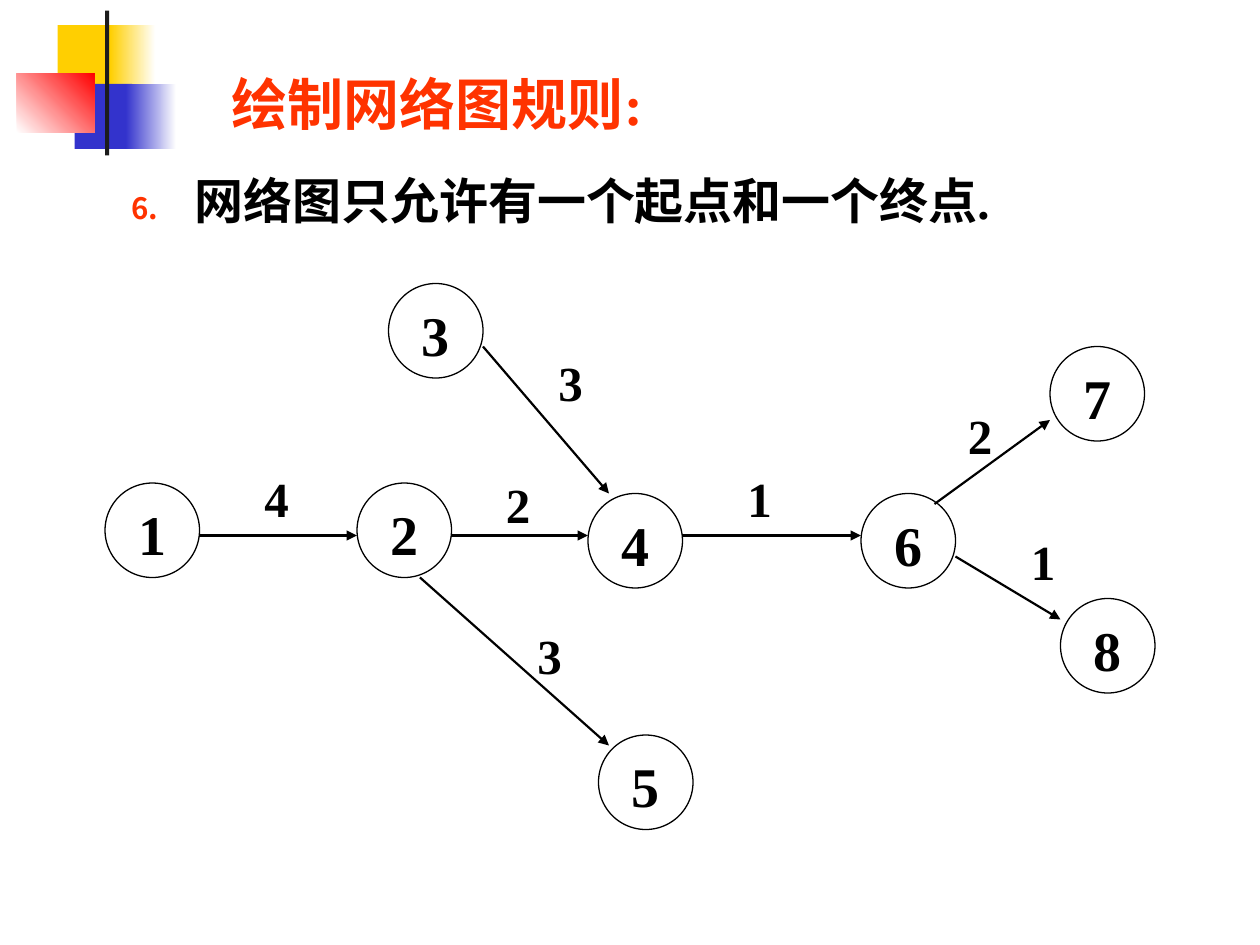
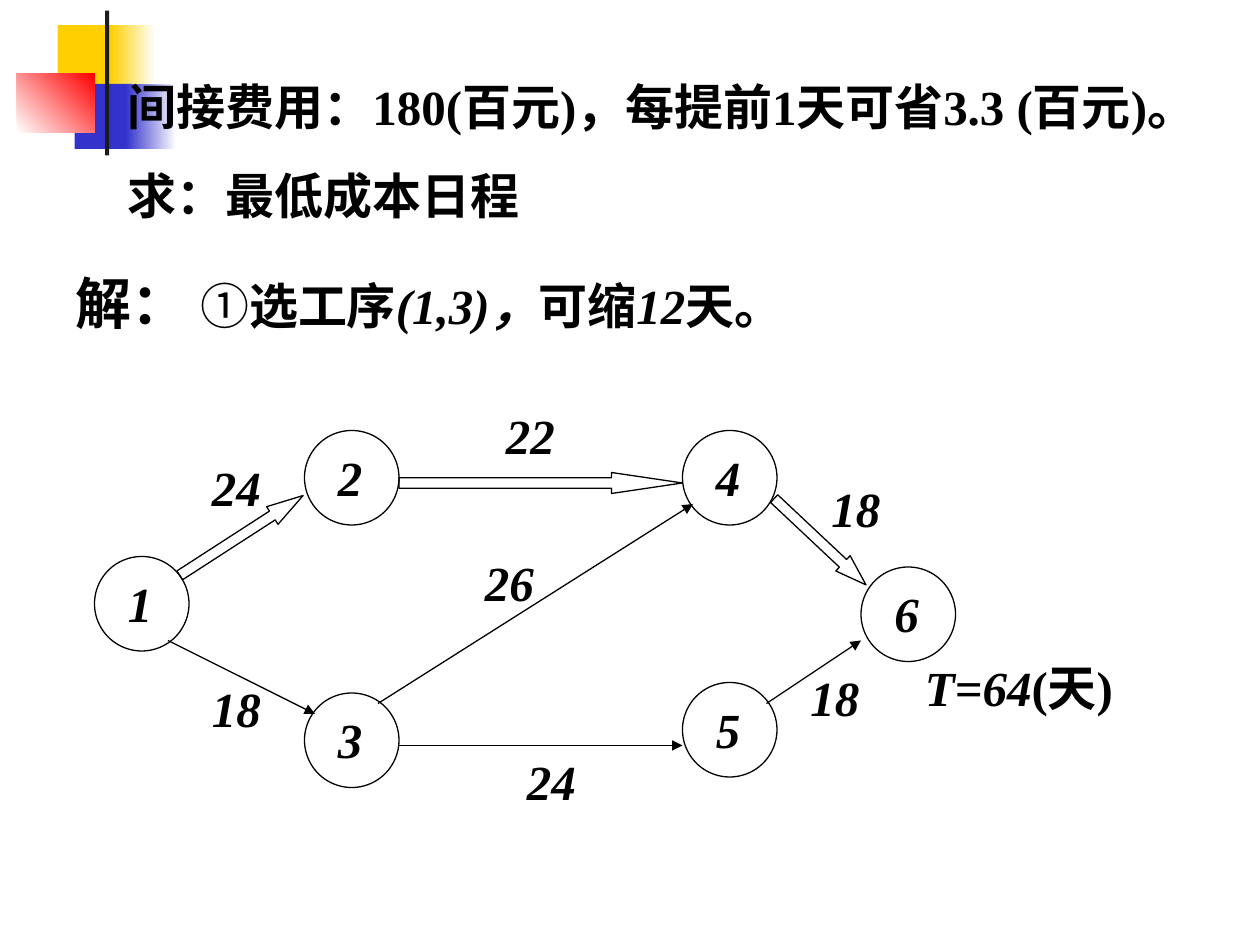
import pptx
import pptx.util
import pptx.dml.color
import pptx.enum.lang
import pptx.enum.shapes
import pptx.enum.text
import pptx.oxml.ns
from lxml import etree

COLS, ROWS = 120, 90
SHAPE = pptx.enum.shapes.MSO_SHAPE
BLACK, ORANGE = "000000", "FF3300"
YELLOW, BLUE, RED, WHITE = "FFCF01", "3333CC", "FF0000", "FFFFFF"


def rgb(hex_string):
    return pptx.dml.color.RGBColor.from_string(hex_string)


def add_xml(parent, tag, **attrs):
    return etree.SubElement(parent, pptx.oxml.ns.qn(tag), attrs)


class Deck:
    """Shared style plus the current slide; lengths are grid columns and rows."""

    font = "Times New Roman"
    node_size = 9

    def __init__(self):
        self.prs = pptx.Presentation()
        self.prs.slide_width = pptx.util.Inches(10)
        self.prs.slide_height = pptx.util.Inches(7.5)

    def new_slide(self, node_pt, italic, line_pt):
        self.slide = self.prs.slides.add_slide(self.prs.slide_layouts[6])
        self.node_pt, self.italic, self.line_pt = node_pt, italic, line_pt
        self.corner_motif()

    def x(self, cols):
        return round(self.prs.slide_width * cols / COLS)

    def y(self, rows):
        return round(self.prs.slide_height * rows / ROWS)

    def box(self, x, y, w, h):
        return self.x(x), self.y(y), self.x(w), self.y(h)

    # Preset shapes
    def shape(self, kind, x, y, w, h, fill=None, fade=None, angle=0, line=None):
        sp = self.slide.shapes.add_shape(kind, *self.box(x, y, w, h))
        sp.shadow.inherit = False
        if fade:
            sp.fill.gradient()
            sp.fill.gradient_angle = angle
            for stop, color in zip(sp.fill.gradient_stops, (fill, fade)):
                stop.color.rgb = rgb(color)
        elif fill:
            sp.fill.solid()
            sp.fill.fore_color.rgb = rgb(fill)
        else:
            sp.fill.background()
        if line:
            sp.line.color.rgb = rgb(line)
            sp.line.width = pptx.util.Pt(0.75)
        else:
            sp.line.fill.background()
        return sp

    def corner_motif(self):
        rect = SHAPE.RECTANGLE
        self.shape(rect, 5.5, 2.4, 5.8, 6.2, YELLOW)
        self.shape(rect, 10.5, 2.4, 4.3, 6.2, YELLOW, WHITE)
        self.shape(rect, 7.1, 8, 5.5, 6.2, BLUE)
        self.shape(rect, 12, 8, 4.8, 6.2, BLUE, WHITE)
        self.shape(rect, 1.6, 7, 7.4, 5.6, WHITE, RED, angle=45)
        self.shape(rect, 10, 1, 0.4, 13.8, "1C1C1C")

    # Text: each paragraph is a list of (text, changes to the style) runs
    def text(self, x, y, w, h, paragraphs, size=28, color=BLACK, wrap=False, before=0):
        sp = self.slide.shapes.add_textbox(*self.box(x, y, w, h))
        tf = sp.text_frame
        tf.word_wrap = wrap
        tf.auto_size = pptx.enum.text.MSO_AUTO_SIZE.SHAPE_TO_FIT_TEXT
        for i, runs in enumerate(paragraphs):
            p = tf.add_paragraph() if i else tf.paragraphs[0]
            if i:
                p.space_before = pptx.util.Pt(before)
            for words, changes in runs:
                r = p.add_run()
                r.text = words
                r.font.name = self.font
                r.font.size = pptx.util.Pt(changes.get("size", size))
                r.font.bold = changes.get("bold", True)
                r.font.italic = changes.get("italic", False)
                r.font.color.rgb = rgb(color)
                r.font.language_id = pptx.enum.lang.MSO_LANGUAGE_ID.SIMPLIFIED_CHINESE
        return tf

    def numbered(self, x, y, w, h, words, start):
        p = self.text(x, y, w, h, [[(words, {})]]).paragraphs[0]
        p.alignment = pptx.enum.text.PP_ALIGN.CENTER
        pPr = p._p.get_or_add_pPr()
        indent = self.x(6)
        pPr.set("marL", str(indent))
        pPr.set("indent", str(-indent))
        add_xml(add_xml(pPr, "a:buClr"), "a:srgbClr", val=ORANGE)
        add_xml(pPr, "a:buSzPct", val="60000")
        add_xml(pPr, "a:buFont", typeface="+mj-lt")
        add_xml(pPr, "a:buAutoNum", type="arabicPeriod", startAt=str(start))

    # Network parts
    def number(self, x, y, value, size=28):
        width = 2.4 + len(value) * size / 12
        height = 1.2 + size / 5
        self.text(x, y, width, height, [[(value, {"italic": self.italic})]], size)

    def node(self, name, x, y):
        self.shape(SHAPE.OVAL, x, y, self.node_size, self.node_size, line=BLACK)
        self.number(x + 2, y + 1, name, self.node_pt)

    def arrow(self, x1, y1, x2, y2):
        cx = self.slide.shapes.add_connector(
            pptx.enum.shapes.MSO_CONNECTOR.STRAIGHT,
            self.x(x1), self.y(y1), self.x(x2), self.y(y2))
        cx.line.color.rgb = rgb(BLACK)
        cx.line.width = pptx.util.Pt(self.line_pt)
        add_xml(cx.line._get_or_add_ln(), "a:tailEnd", type="triangle")
        add_xml(cx._element.spPr, "a:effectLst")

    def critical_arrow(self, x, y, length, head, rotation):
        sp = self.shape(SHAPE.RIGHT_ARROW, x, y, length, 2, line=BLACK)
        sp.adjustments[0] = 0.5
        sp.adjustments[1] = head
        sp.rotation = rotation

    def network(self, nodes, arrows, durations, critical=()):
        for node in nodes:
            self.node(*node)
        for arrow in arrows:
            self.arrow(*arrow)
        for arrow in critical:
            self.critical_arrow(*arrow)
        for duration in durations:
            self.number(*duration)


def rules_slide(deck):
    deck.new_slide(node_pt=32, italic=False, line_pt=1.25)
    deck.numbered(10.8, 15.6, 85.2, 6.8, "网络图只允许有一个起点和一个终点.", start=6)
    deck.network(
        nodes=[("1", 10, 46), ("2", 34, 46), ("3", 37, 27), ("4", 56, 47),
               ("5", 57, 70), ("6", 82, 47), ("7", 100, 33), ("8", 101, 57)],
        arrows=[(19, 51, 34, 51), (43, 51, 56, 51), (65, 51, 82, 51),
                (89, 48, 100, 40), (91, 53, 101, 59), (40, 55, 58, 71),
                (46, 33, 58, 47)],
        durations=[(47, 44.6, "2"), (24, 44, "4"), (52, 33, "3"), (50, 59, "3"),
                   (70, 44, "1"), (91, 38, "2"), (97, 50, "1")])
    deck.text(20.9, 6, 42.8, 7.7, [[("绘制网络图规则:", {})]], size=32, color=ORANGE)


def schedule_slide(deck):
    deck.new_slide(node_pt=28, italic=True, line_pt=0.75)
    slanted = {"italic": True}
    # Problem and first step of the solution
    deck.text(11, 6.7, 105.4, 21,
              [[("间接费用：180(百元)，每提前1天可省3.3 (百元)。", {})],
               [("求：最低成本日程", {})]], wrap=True, before=17.5)
    deck.text(6, 25, 107, 7.7,
              [[("解： ", {"size": 32}), ("①", {"bold": False}), ("选工序", {}),
                ("(1,3)，", slanted), ("可缩", {}), ("12", slanted), ("天。", {})]],
              wrap=True)
    # Network with its total duration
    deck.text(86.9, 62, 22.6, 6.8, [[("T=64", slanted), ("(天)", {})]])
    deck.network(
        nodes=[("1", 9, 53), ("3", 29, 66), ("2", 29, 41), ("4", 65, 41),
               ("5", 65, 65), ("6", 82, 54)],
        arrows=[(16, 61, 30, 68), (38, 71, 65, 71), (73, 67, 82, 61),
                (36, 67, 66, 48)],
        durations=[(19, 43, "24"), (19, 64, "18"), (47, 38, "22"), (45, 52, "26"),
                   (78, 45, "18"), (49, 71, "24"), (76, 63, "18")],
        critical=[(16, 50, 14, 1.75, 327.1), (38, 45, 27, 3.38, 0),
                  (72.1, 50.6, 12, 1.5, 43.2)])


def main():
    deck = Deck()
    rules_slide(deck)
    schedule_slide(deck)
    deck.prs.save("out.pptx")


if __name__ == "__main__":
    main()
